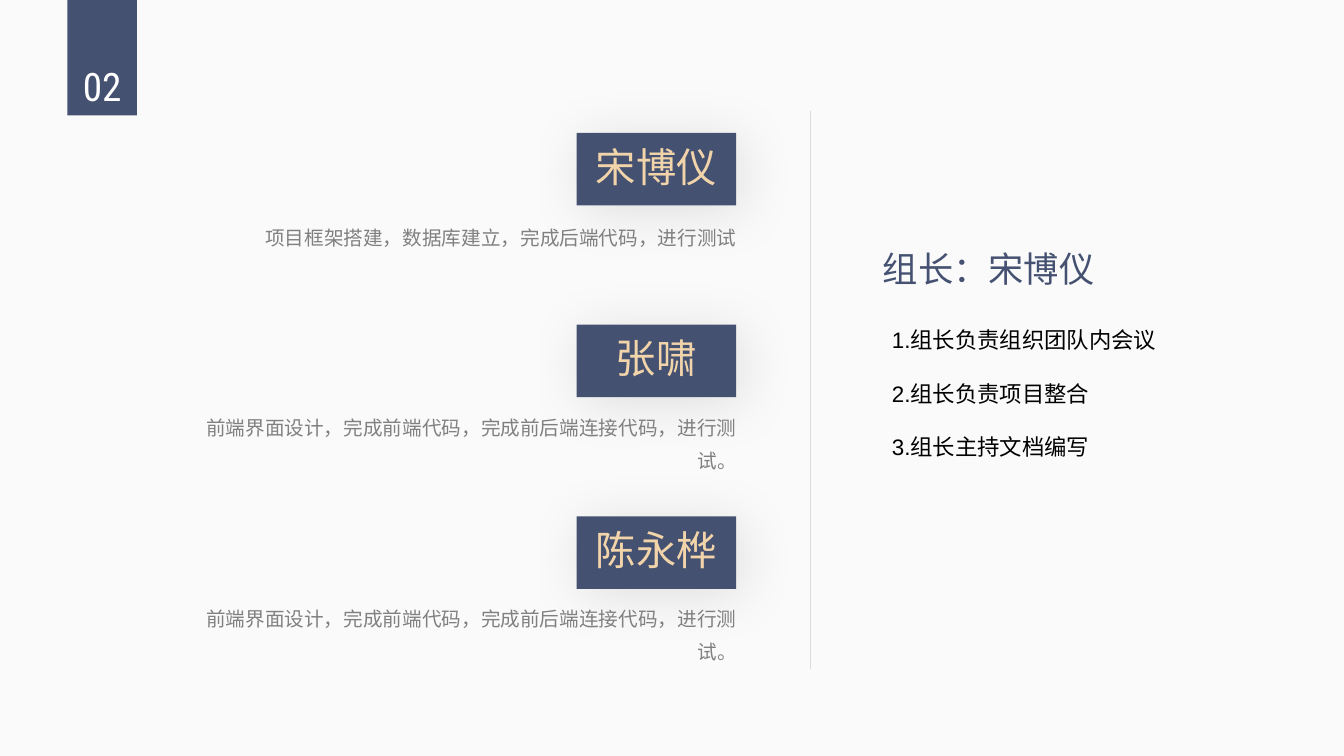
from dataclasses import dataclass

import pptx
import pptx.dml.color
import pptx.enum.shapes
import pptx.enum.text
import pptx.oxml
import pptx.oxml.ns
import pptx.shapes.autoshape
import pptx.slide
import pptx.util

Cm = pptx.util.Cm
Pt = pptx.util.Pt
RGBColor = pptx.dml.color.RGBColor
Align = pptx.enum.text.PP_ALIGN

NAVY = RGBColor(0x45, 0x51, 0x71)
SAND = RGBColor(0xF2, 0xD4, 0xAA)
GREY = RGBColor(0x80, 0x80, 0x80)
RULE_GREY = RGBColor(0xDB, 0xDB, 0xDB)
WHITE = RGBColor(0xFF, 0xFF, 0xFF)
BLACK = RGBColor(0x00, 0x00, 0x00)
PAPER = RGBColor(0xFA, 0xFA, 0xFA)

BADGE_LEFT, BADGE_WIDTH, BADGE_HEIGHT = 14.53, 4.02, 1.83
FIRST_BADGE_TOP, MEMBER_PITCH = 3.35, 4.83

SHADOW_XML = (
    f'<a:effectLst {pptx.oxml.ns.nsdecls("a")}>'
    '<a:outerShdw blurRad="508000" dist="76200" dir="2700000" algn="tl" rotWithShape="0">'
    '<a:srgbClr val="000000"><a:alpha val="11000"/></a:srgbClr>'
    '</a:outerShdw></a:effectLst>'
)


@dataclass(frozen=True)
class Frame:
    """Position and size in centimetres."""
    left: float
    top: float
    width: float
    height: float

    def lengths(self) -> tuple[Cm, Cm, Cm, Cm]:
        return Cm(self.left), Cm(self.top), Cm(self.width), Cm(self.height)


@dataclass(frozen=True)
class Style:
    size: float
    color: RGBColor
    align: Align = Align.LEFT
    font: str = "Arial"
    line_spacing: float = 1.0
    gap: float = 0


@dataclass(frozen=True)
class Member:
    name: str
    duty: str
    line_spacing: float


MEMBERS = [
    Member("宋博仪", "项目框架搭建，数据库建立，完成后端代码，进行测试", 1.5),
    Member("张啸", "前端界面设计，完成前端代码，完成前后端连接代码，进行测试。", 1.4),
    Member("陈永桦", "前端界面设计，完成前端代码，完成前后端连接代码，进行测试。", 1.4),
]
LEADER_DUTIES = ["1.组长负责组织团队内会议", "2.组长负责项目整合", "3.组长主持文档编写"]

NAME_STYLE = Style(28.8, SAND, Align.CENTER)
NUMBER_STYLE = Style(28, WHITE, Align.CENTER, "Roboto Condensed")
LEADER_STYLE = Style(25.2, NAVY)
LIST_STYLE = Style(16, BLACK, gap=19)


def add_block(page: pptx.slide.Slide, frame: Frame) -> pptx.shapes.autoshape.Shape:
    block = page.shapes.add_shape(
        pptx.enum.shapes.MSO_SHAPE.RECTANGLE, *frame.lengths())
    block.shadow.inherit = False
    block.fill.solid()
    block.fill.fore_color.rgb = NAVY
    block.line.fill.background()
    return block


def add_text(page: pptx.slide.Slide, frame: Frame, lines: list[str], style: Style) -> None:
    text_frame = page.shapes.add_textbox(*frame.lengths()).text_frame
    text_frame.word_wrap = True
    for index, line in enumerate(lines):
        para = text_frame.add_paragraph() if index else text_frame.paragraphs[0]
        para.text = line
        para.alignment = style.align
        para.line_spacing = style.line_spacing
        if index:
            para.space_before = Pt(style.gap)
        para.font.name = style.font
        para.font.size = Pt(style.size)
        para.font.color.rgb = style.color


def add_member(page: pptx.slide.Slide, member: Member, top: float) -> None:
    badge = add_block(page, Frame(BADGE_LEFT, top, BADGE_WIDTH, BADGE_HEIGHT))
    properties = badge.element.spPr
    properties.remove(properties.find(pptx.oxml.ns.qn("a:effectLst")))
    properties.append(pptx.oxml.parse_xml(SHADOW_XML))
    add_text(page, Frame(BADGE_LEFT, top + 0.1, BADGE_WIDTH, BADGE_HEIGHT - 0.2),
             [member.name], NAME_STYLE)
    add_text(page, Frame(4.9, top + 1.93, 13.92, 1.93), [member.duty],
             Style(14, GREY, Align.RIGHT, line_spacing=member.line_spacing))


def add_divider(page: pptx.slide.Slide) -> None:
    divider = page.shapes.add_connector(
        pptx.enum.shapes.MSO_CONNECTOR.STRAIGHT,
        Cm(20.42), Cm(2.79), Cm(20.42), Cm(16.87))
    divider.line.color.rgb = RULE_GREY
    divider.line.width = Pt(0.5)
    divider.element.spPr.append(
        pptx.oxml.parse_xml(f'<a:effectLst {pptx.oxml.ns.nsdecls("a")}/>'))


def main() -> None:
    deck = pptx.Presentation()
    deck.slide_width, deck.slide_height = Cm(33.87), Cm(19.05)
    page = deck.slides.add_slide(deck.slide_layouts[6])
    page.background.fill.solid()
    page.background.fill.fore_color.rgb = PAPER

    # Section number and divider
    add_block(page, Frame(1.7, 0, 1.75, 2.91))
    add_text(page, Frame(1.7, 1.45, 1.75, 1.45), ["02"], NUMBER_STYLE)
    add_divider(page)

    # Team members
    for index, member in enumerate(MEMBERS):
        add_member(page, member, FIRST_BADGE_TOP + index * MEMBER_PITCH)

    # Team leader
    add_text(page, Frame(22, 6.1, 9.32, 1.45), ["组长：宋博仪"], LEADER_STYLE)
    add_text(page, Frame(22.23, 8.1, 8.46, 3.68), LEADER_DUTIES, LIST_STYLE)

    deck.save("out.pptx")


if __name__ == "__main__":
    main()
